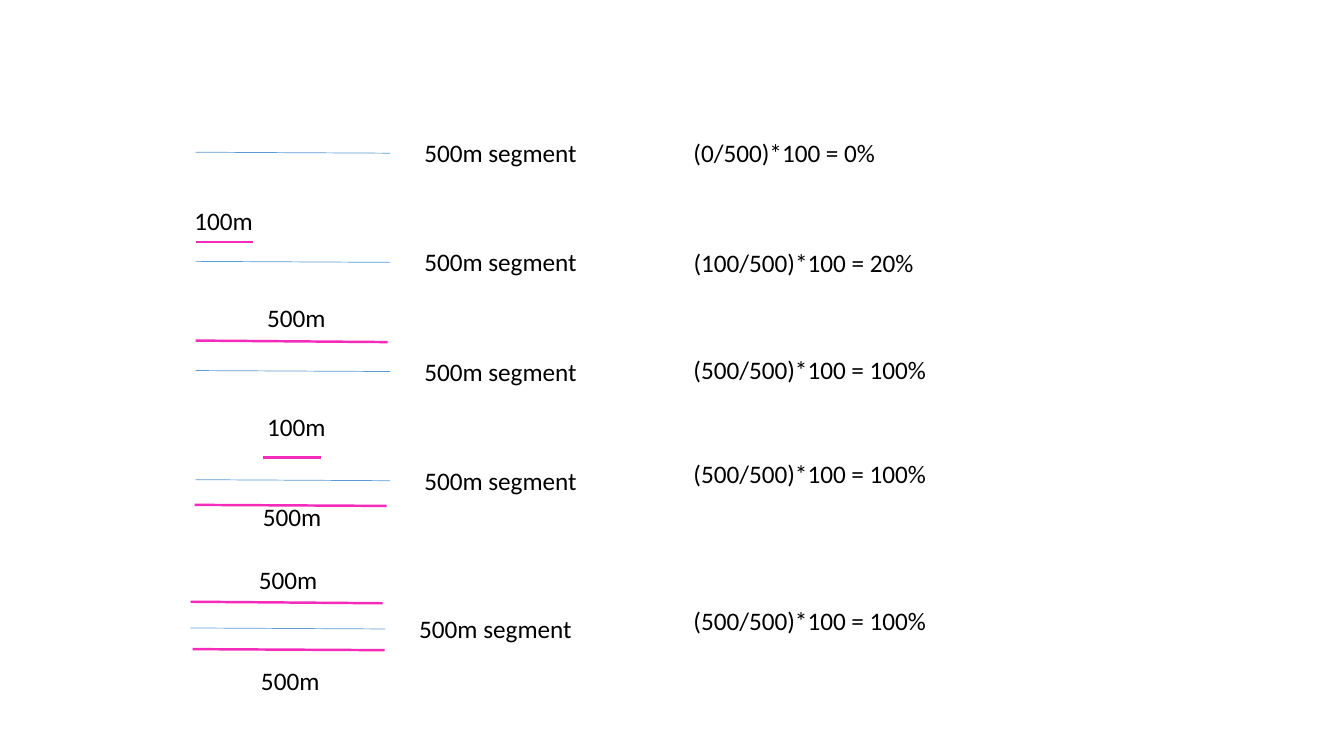
from dataclasses import dataclass
from lxml import etree
from pptx import Presentation
from pptx.dml.color import RGBColor
from pptx.enum.shapes import MSO_CONNECTOR
from pptx.enum.text import MSO_AUTO_SIZE
from pptx.oxml.ns import qn
from pptx.util import Inches, Pt


def color(hex_value):
    """Turn a hex string into a colour."""
    return RGBColor.from_string(hex_value)


@dataclass
class Sketch:
    """Draw styled elements on a slide, in grid cells of a tenth of an inch."""
    slide: object
    cell: int = Inches(0.1)
    font: str = "Calibri"
    size: float = 18
    ink: str = "000000"
    road: str = "5B9BD5"
    cover: str = "F42ABA"

    def grid(self, *cells):
        """Convert grid cells to lengths."""
        return [round(self.cell * count) for count in cells]

    def group(self):
        """Open a group and return its shapes."""
        return self.slide.shapes.add_group_shape().shapes

    def line(self, left, top, length, drop, hex_value, weight, shapes=None):
        """Draw a nearly level line."""
        ends = self.grid(left, top, left + length, top + drop)
        line = (shapes or self.slide.shapes).add_connector(MSO_CONNECTOR.STRAIGHT, *ends)
        line.line.color.rgb = color(hex_value)
        line.line.width = Pt(weight)
        etree.SubElement(line._element.spPr, qn("a:effectLst"))

    def text(self, left, top, width, words, shapes=None):
        """Write one line of text."""
        box = (shapes or self.slide.shapes).add_textbox(*self.grid(left, top, width, 4))
        frame = box.text_frame
        frame.word_wrap = False
        frame.auto_size = MSO_AUTO_SIZE.SHAPE_TO_FIT_TEXT
        run = frame.paragraphs[0].add_run()
        run.text = words
        run.font.name, run.font.size = self.font, Pt(self.size)
        run.font.color.rgb = color(self.ink)

    def segment(self, left, top):
        """Draw a road segment with its caption."""
        shapes = self.group()
        self.line(left, top, 19.3, 0.1, self.road, 0.5, shapes)
        self.text(left + 21.7, top - 1.95, 17.3, "500m segment", shapes)


COVER_LENGTH = {"100m": 5.7, "500m": 19.05}
FORMULA_WIDTH = {0: 20.3, 100: 24.1, 500: 25.4}
FIRST_TOP, ROW_STEP, LEFT = 15.1, 10.83, 19.4
tops = [FIRST_TOP + ROW_STEP * row for row in range(4)]

# Each cover: length, line offset (x, y), drop, label offset (x, y).
EXAMPLES = [
    (LEFT, tops[0], 13.1, 0, []),
    (LEFT, tops[1], 24, 100, [("100m", 0, -1.93, 0, -1.1, -6.03)]),
    (LEFT, tops[2], 34.7, 500, [("500m", 0, -2.97, 0.15, 6.1, -7.27)]),
    (LEFT, tops[3], 45, 500, [("100m", 6.7, -2.2, 0, 6.1, -7.3),
                              ("500m", -0.1, 2.5, 0.1, 5.7, 1.7)]),
    (18.9, 62.3, 59.6, 500, [("500m", 0, -2.6, 0.15, 5.8, -6.8),
                             ("500m", 0.2, 2.1, 0.1, 6, 3.2)]),
]

deck = Presentation()
deck.slide_width, deck.slide_height = Inches(13.33), Inches(7.5)
sketch = Sketch(deck.slides.add_slide(deck.slide_layouts[6]))

for left, top, formula_top, covered, covers in EXAMPLES:
    sketch.segment(left, top)
    for length, dx, dy, drop, label_dx, label_dy in covers:
        sketch.line(left + dx, top + dy, COVER_LENGTH[length], drop, sketch.cover, 1.75)
        sketch.text(left + label_dx, top + label_dy, 7.9, length)
    formula = f"({covered}/500)*100 = {covered // 5}%"
    sketch.text(67.8, formula_top, FORMULA_WIDTH[covered], formula)

deck.save("out.pptx")
